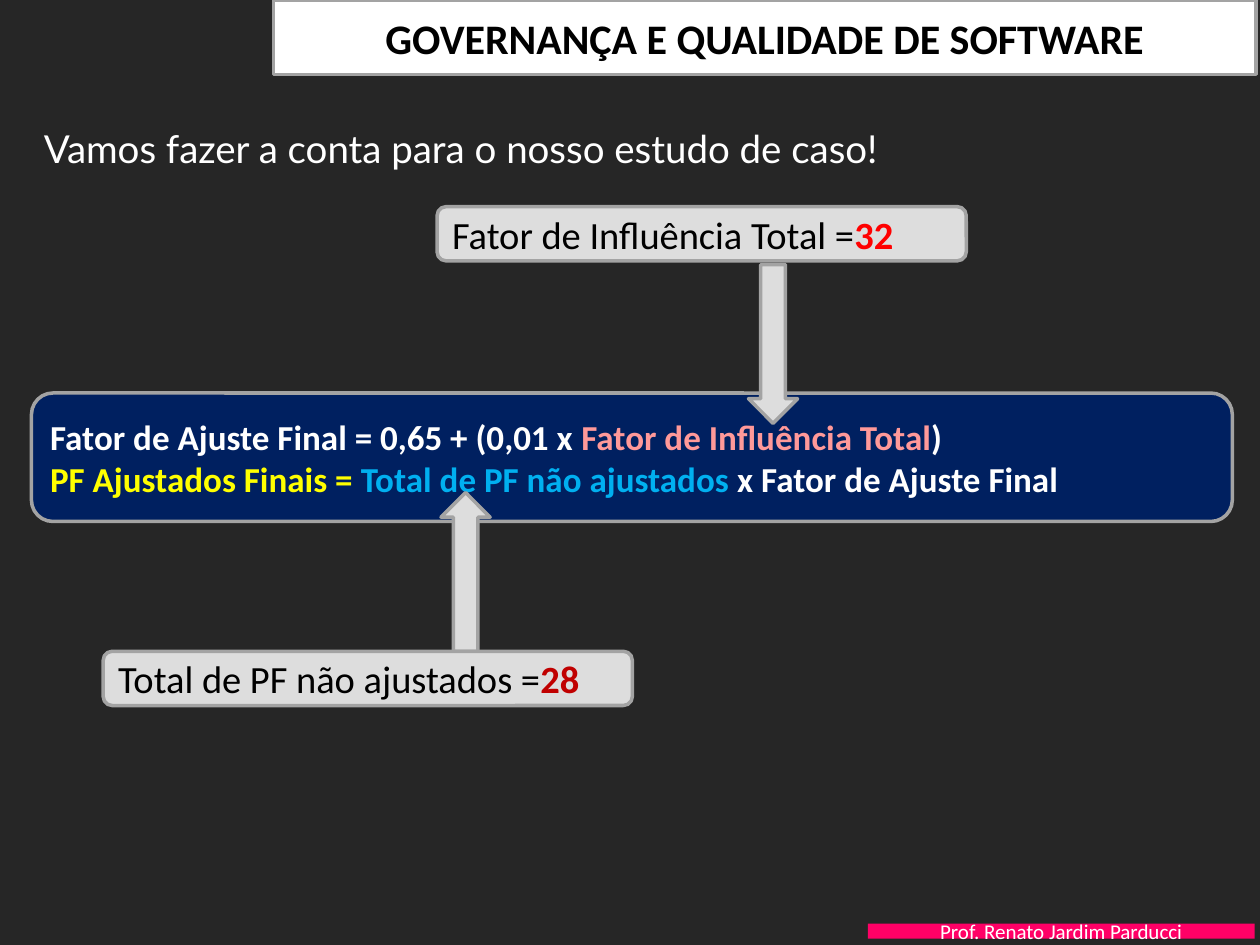
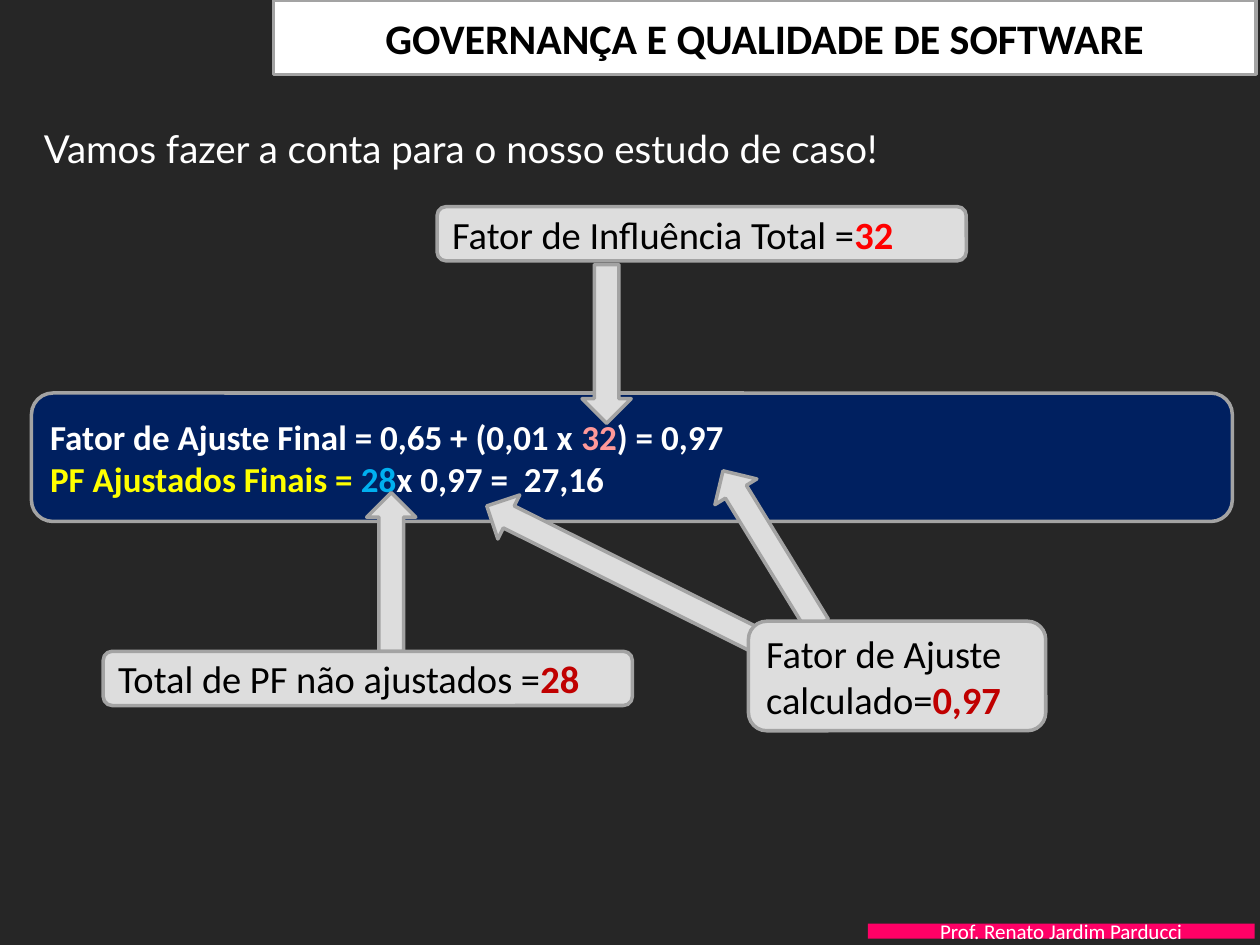
from pptx import Presentation
from pptx.dml.color import RGBColor
from pptx.enum.shapes import MSO_SHAPE
from pptx.enum.text import MSO_ANCHOR, MSO_AUTO_SIZE, PP_ALIGN
from pptx.util import Pt

RECT = MSO_SHAPE.RECTANGLE
ROUNDED = MSO_SHAPE.ROUNDED_RECTANGLE
DOWN_ARROW = MSO_SHAPE.DOWN_ARROW
MIDDLE = MSO_ANCHOR.MIDDLE
GROW = MSO_AUTO_SIZE.SHAPE_TO_FIT_TEXT
LEFT, CENTER, JUSTIFY = PP_ALIGN.LEFT, PP_ALIGN.CENTER, PP_ALIGN.JUSTIFY

BLACK = RGBColor(0x00, 0x00, 0x00)
WHITE = RGBColor(0xFF, 0xFF, 0xFF)
CHARCOAL = RGBColor(0x26, 0x26, 0x26)
NAVY = RGBColor(0x00, 0x20, 0x60)
LIGHT_GRAY = RGBColor(0xDD, 0xDD, 0xDD)
LINE_GRAY = RGBColor(0xA3, 0xA3, 0xA3)
MAGENTA = RGBColor(0xFF, 0x00, 0x66)
PINK = RGBColor(0xFF, 0x99, 0x99)
YELLOW = RGBColor(0xFF, 0xFF, 0x00)
SKY = RGBColor(0x00, 0xB0, 0xF0)
RED = RGBColor(0xFF, 0x00, 0x00)
DARK_RED = RGBColor(0xC0, 0x00, 0x00)

BODY_FONT, INTRO_FONT = "Calibri", "Lato"
MARGIN, CONTENT_W = 18, 686.2
LABEL_W, LABEL_H = 302.4, 31
ARROW_W, ARROW_H = 28.1, 90.7


def write(tf, paragraphs, size, align=LEFT, font=BODY_FONT):
    tf.word_wrap = True
    tf.vertical_anchor = MIDDLE
    for i, runs in enumerate(paragraphs):
        p = tf.paragraphs[0] if i == 0 else tf.add_paragraph()
        p.alignment = align
        for text, color, bold in runs:
            r = p.add_run()
            r.text = text
            r.font.name = font
            r.font.size = Pt(size)
            r.font.bold = bold
            r.font.color.rgb = color


def add_box(s, kind, x, y, w, h, fill, outlined=True):
    sp = s.shapes.add_shape(kind, Pt(x), Pt(y), Pt(w), Pt(h))
    sp.shadow.inherit = False
    sp.fill.solid()
    sp.fill.fore_color.rgb = fill
    if outlined:
        sp.line.color.rgb = LINE_GRAY
        sp.line.width = Pt(2)
    else:
        sp.line.fill.background()
    return sp


def add_arrow(s, x, y, h=ARROW_H, rotation=0):
    sp = add_box(s, DOWN_ARROW, x, y, ARROW_W, h, LIGHT_GRAY)
    sp.rotation = rotation


def add_label(s, x, y, caption, value, color, w=LABEL_W, h=LABEL_H):
    sp = add_box(s, ROUNDED, x, y, w, h, LIGHT_GRAY)
    write(sp.text_frame, [[(caption, BLACK, False), (value, color, True)]], 22)


def add_frame(s):
    title = add_box(s, RECT, 156.2, 0, 561.6, 42.5, WHITE)
    write(title.text_frame,
          [[("GOVERNANÇA E QUALIDADE DE SOFTWARE", BLACK, True)]], 24, CENTER)
    footer = add_box(s, RECT, 496, 527.8, 221, 8.6, MAGENTA, outlined=False)
    write(footer.text_frame,
          [[("Prof. Renato Jardim Parducci", WHITE, False)]], 12, CENTER)


def add_formula(s, influence, adjustment_end, points, final_end):
    sp = add_box(s, ROUNDED, MARGIN, 224.6, CONTENT_W, 73.4, NAVY)
    write(sp.text_frame, [
        [("Fator de Ajuste Final = 0,65 + (0,01 x ", WHITE, True),
         (influence, PINK, True), (adjustment_end, WHITE, True)],
        [("PF Ajustados Finais = ", YELLOW, True),
         (points, SKY, True), (final_end, WHITE, True)],
    ], 20)


def add_intro(s):
    sp = s.shapes.add_textbox(Pt(MARGIN), Pt(67.7), Pt(CONTENT_W), Pt(30.2))
    tf = sp.text_frame
    tf.margin_bottom = 0
    tf.auto_size = GROW
    write(tf, [[("Vamos fazer a conta para o nosso estudo de caso!", WHITE, False)]],
          22, JUSTIFY, INTRO_FONT)


def add_case_slide(prs, formula, points_arrow_x, influence_arrow_x):
    s = prs.slides.add_slide(prs.slide_layouts[6])
    s.background.fill.solid()
    s.background.fill.fore_color.rgb = CHARCOAL
    add_frame(s)
    add_formula(s, *formula)
    add_intro(s)
    add_arrow(s, points_arrow_x, 281.5, rotation=180)
    add_label(s, 59, 372.2, "Total de PF não ajustados =", "28", DARK_RED)
    add_arrow(s, influence_arrow_x, 151.2)
    add_label(s, 249.8, 118.1, "Fator de Influência Total =", "32", RED)
    return s


def main():
    prs = Presentation()
    prs.slide_width, prs.slide_height = Pt(720), Pt(540)

    add_case_slide(
        prs,
        ("Fator de Influência Total", ")",
         "Total de PF não ajustados ", "x Fator de Ajuste Final"),
        252, 427.7)

    s = add_case_slide(
        prs, ("32", ") = 0,97", "28", "x 0,97 =  27,16"), 209.5, 332.6)
    add_arrow(s, 426.2, 261.4, 103.7, 148.5)
    add_arrow(s, 348.5, 236.9, 188.6, 116.5)
    add_label(s, 427.7, 355, "Fator de Ajuste calculado=", "0,97", DARK_RED,
              169.9, 62.6)

    prs.save("out.pptx")


main()
